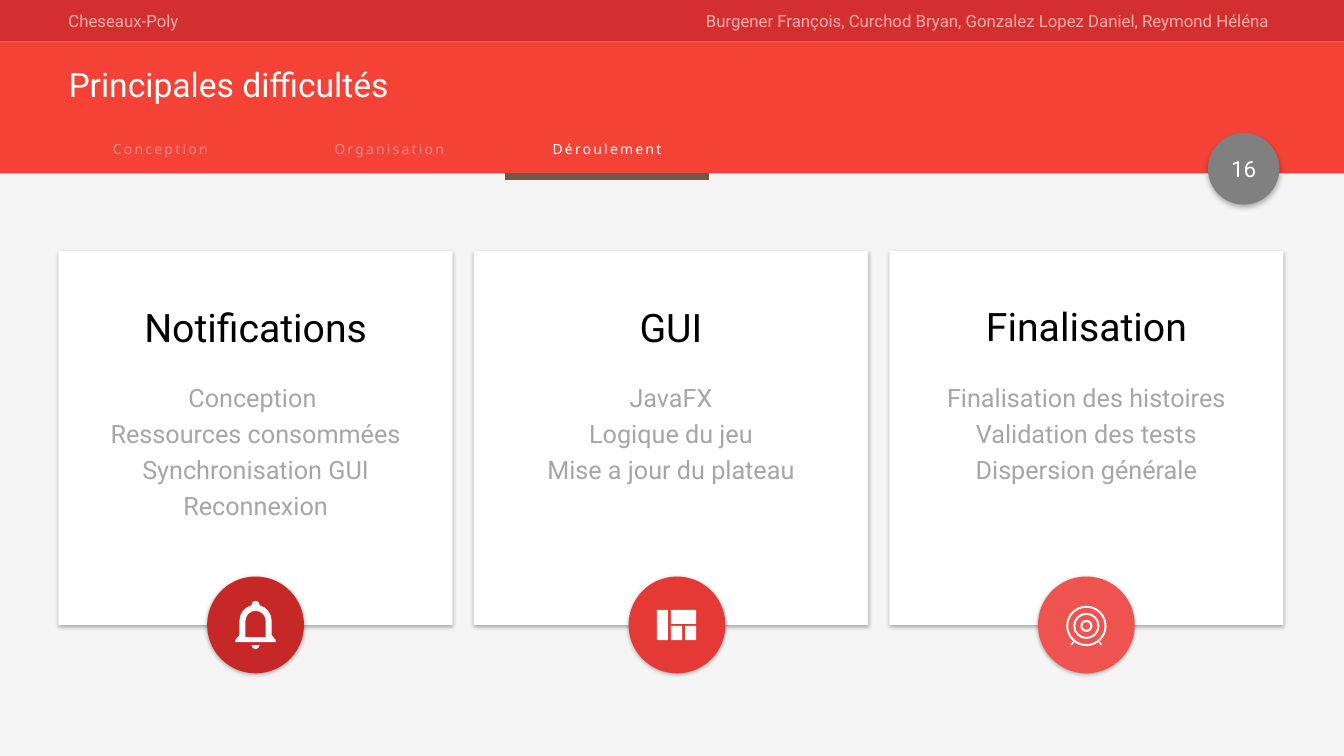
from math import ceil, cos, radians, sin, tan

from lxml import etree
from pptx import Presentation
from pptx import util as u
from pptx.dml.color import RGBColor
from pptx.enum import shapes, text
from pptx.oxml import ns

PAPER = RGBColor(0xF5, 0xF5, 0xF5)
STRIP = RGBColor(0xD3, 0x2F, 0x2F)
RED = RGBColor(0xF4, 0x43, 0x36)
PINK = RGBColor(0xF5, 0xB0, 0xAE)
ROSE = RGBColor(0xEF, 0x88, 0x86)
BROWN = RGBColor(0x79, 0x55, 0x48)
GREY = RGBColor(0x80, 0x80, 0x80)
SILVER = RGBColor(0xA6, 0xA6, 0xA6)
WHITE = RGBColor(0xFF, 0xFF, 0xFF)
BLACK = RGBColor(0, 0, 0)
DARK = RGBColor(0xC6, 0x28, 0x28)
MID = RGBColor(0xE5, 0x39, 0x35)
LIGHT = RGBColor(0xEF, 0x53, 0x50)

KIND = shapes.MSO_SHAPE
ALIGN = text.PP_ALIGN
ANCHOR = text.MSO_ANCHOR
GROW = text.MSO_AUTO_SIZE.SHAPE_TO_FIT_TEXT
FIXED = text.MSO_AUTO_SIZE.NONE


def inches(*vals):
    return [u.Inches(v) for v in vals]


def assign(item, form):
    for key, val in form.items():
        setattr(item, key, val)


def paint(shape, color):
    shape.shadow.inherit = False
    shape.fill.solid()
    shape.fill.fore_color.rgb = color
    shape.line.fill.background()


def block(slide, kind, box, color, blur=0, dist=0):
    """Filled shape, with a soft shadow below it when blur is given."""
    shape = slide.shapes.add_shape(kind, *inches(*box))
    paint(shape, color)
    if blur:
        group = shape._element.spPr.find(ns.qn("a:effectLst"))
        drop = etree.SubElement(group, ns.qn("a:outerShdw"), blurRad=str(u.Pt(blur)),
                                dist=str(u.Pt(dist)), dir="5400000", algn="t", rotWithShape="0")
        tint = etree.SubElement(drop, ns.qn("a:srgbClr"), val="000000")
        etree.SubElement(tint, ns.qn("a:alpha"), val="30000")


def write(frame, lines, size, color, align, lead=None, face="Roboto", track=0,
          anchor=ANCHOR.TOP, fit=GROW):
    assign(frame, {"word_wrap": True, "vertical_anchor": anchor, "auto_size": fit})
    for i, line in enumerate(lines):
        para = frame.add_paragraph() if i else frame.paragraphs[0]
        assign(para, {"alignment": align, "line_spacing": lead})
        run = para.add_run()
        run.text = line
        assign(run.font, {"size": u.Pt(size), "name": face})
        run.font.color.rgb = color
        if track:
            run._r.get_or_add_rPr().set("spc", str(track))


def label(slide, box, *args, **form):
    write(slide.shapes.add_textbox(*inches(*box)).text_frame, *args, **form)


# Icon outlines in inches around the badge centre: each step of a loop
# holds one point for a line, or three for a curve

def line(*dots):
    return [[dot] for dot in dots]


def arc(x, y, r, start, end):
    count = ceil((end - start) / 90)
    turn = radians(end - start) / count
    pull = 4 / 3 * tan(turn / 4)
    steps = line((x + r * cos(radians(start)), y + r * sin(radians(start))))
    for i in range(count):
        a = radians(start) + i * turn
        b = a + turn
        steps.append([(x + r * (cos(a) - pull * sin(a)), y + r * (sin(a) + pull * cos(a))),
                      (x + r * (cos(b) + pull * sin(b)), y + r * (sin(b) - pull * cos(b))),
                      (x + r * cos(b), y + r * sin(b))])
    return steps


def pane(x, y, w, h):
    return line((x, y), (x + w, y), (x + w, y + h), (x, y + h))


def bell():
    body = (line((-.2, .17), (-.2, .15), (-.16, .1)) + arc(0, -.04, .16, 180, 256)
            + arc(0, -.2, .04, 180, 360) + arc(0, -.04, .16, 284, 360)
            + line((.16, .1), (.2, .15), (.2, .17)))
    hole = line((-.1, .12)) + arc(0, -.04, .1, 180, 360) + line((.1, .12))
    return [body, hole, arc(0, .2, .04, 0, 180)]


def panes():
    return [pane(-.2, -.15, .11, .3), pane(-.06, -.15, .25, .14),
            pane(-.06, .01, .11, .14), pane(.08, .01, .11, .14)]


def target():
    rings = [arc(0, .01, r, 0, 360) for r in (.2, .18, .13, .11, .06, .04)]
    legs = [line((s * .13, .16), (s * .16, .2), (s * .14, .2), (s * .12, .17))
            for s in (-1, 1)]
    return rings + legs


def icon(slide, x, y, loops):
    pen = None
    for loop in loops:
        dots = [inches(x + dx, y + dy) for step in loop for dx, dy in step]
        if pen:
            pen.move_to(*dots[0])
        else:
            pen = slide.shapes.build_freeform(*dots[0])
        pen.add_line_segments(dots[1:], close=True)
    shape = pen.convert_to_shape()
    paint(shape, WHITE)
    # Join the three points of each curve into one segment
    parts = iter(list(shape._element.iter(ns.qn("a:lnTo"))))
    for step in [step for loop in loops for step in loop[1:]]:
        first, *rest = [next(parts) for _ in step]
        if rest:
            first.tag = ns.qn("a:cubicBezTo")
            for part in rest:
                first.append(part[0])
                part.getparent().remove(part)


# Regions

def header(slide, box, team):
    x, y, w, h = box
    block(slide, KIND.RECTANGLE, (x, y, w, .41), STRIP)
    block(slide, KIND.RECTANGLE, (x, y + .41, w, h - .41), RED)
    label(slide, (x + .58, y + .06, 5.56, .3), ["Cheseaux-Poly"], 12, PINK, ALIGN.LEFT)
    label(slide, (x + 6.01, y + .06, 6.68, .3), [team], 12, PINK, ALIGN.RIGHT)


def heading(slide, box, words):
    title = slide.shapes.title
    assign(title, dict(zip(("left", "top", "width", "height"), inches(*box))))
    write(title.text_frame, [words], 24, WHITE, ALIGN.LEFT, .9,
          anchor=ANCHOR.MIDDLE, fit=FIXED)
    slide.shapes._spTree.append(title._element)


def tabs(slide, box, names, active):
    x, y, w, h = box
    for name, step in names.items():
        left = x + step
        color = WHITE if name == active else ROSE
        label(slide, (left, y, w, h), [name], 10, color, ALIGN.CENTER,
              face="Noto Sans", track=160)
        if name == active:
            ends = inches(left, y + .41, left + w, y + .41)
            bar = slide.shapes.add_connector(shapes.MSO_CONNECTOR.STRAIGHT, *ends)
            bar.line.color.rgb = BROWN
            bar.line.width = u.Pt(4.5)
            etree.SubElement(bar._element.spPr, ns.qn("a:effectLst"))


def number(slide, box, digits):
    x, y, w, h = box
    block(slide, KIND.OVAL, box, GREY, 4, 2)
    label(slide, (x - .04, y + .15, w + .08, .4), [digits], 16, WHITE, ALIGN.CENTER,
          anchor=ANCHOR.MIDDLE, fit=FIXED)


def card(slide, box, name, lines, color, loops, shift, rise):
    x, y, w, h = box
    block(slide, KIND.RECTANGLE, box, WHITE, 3, 1)
    # Round badge on the lower edge
    mid, low, size = x + w / 2 + shift, y + h, .96
    block(slide, KIND.OVAL, (mid - size / 2, low - size / 2, size, size), color, 3, 1)
    tall = .08 + .36 * len(lines)
    label(slide, (x + .27, y + 1.19, w - .54, tall), lines, 18, SILVER, ALIGN.CENTER, 1.2)
    label(slide, (x + .27, y + .38 - rise, w - .54, .61), [name], 28, BLACK,
          ALIGN.CENTER, 1.2)
    icon(slide, mid, low, loops)


CARDS = [
    ("Notifications", ["Conception ", "Ressources consommées", "Synchronisation GUI",
                       "Reconnexion"], DARK, bell(), 0, 0),
    ("GUI", ["JavaFX", "Logique du jeu", "Mise a jour du plateau"], MID, panes(), .06, 0),
    ("Finalisation", ["Finalisation des histoires", "Validation des tests",
                      "Dispersion générale"], LIGHT, target(), 0, .01),
]

deck = Presentation()
deck.slide_width, deck.slide_height = inches(13.33, 7.5)
page = deck.slides.add_slide(deck.slide_layouts[5])
page.background.fill.solid()
page.background.fill.fore_color.rgb = PAPER

header(page, (0, 0, 13.33, 1.72),
       "Burgener François, Curchod Bryan, Gonzalez Lopez Daniel, Reymond Héléna")
tabs(page, (.58, 1.34, 2.02, .27),
     {"Conception": 0, "Organisation": 2.27, "Déroulement": 4.43}, "Déroulement")
heading(page, (.58, .62, 12.28, .47), "Principales difficultés")
number(page, (11.98, 1.32, .71, .71), "16")
for col, parts in enumerate(CARDS):
    card(page, (.58 + 4.12 * col, 2.49, 3.91, 3.71), *parts)

deck.save("out.pptx")
